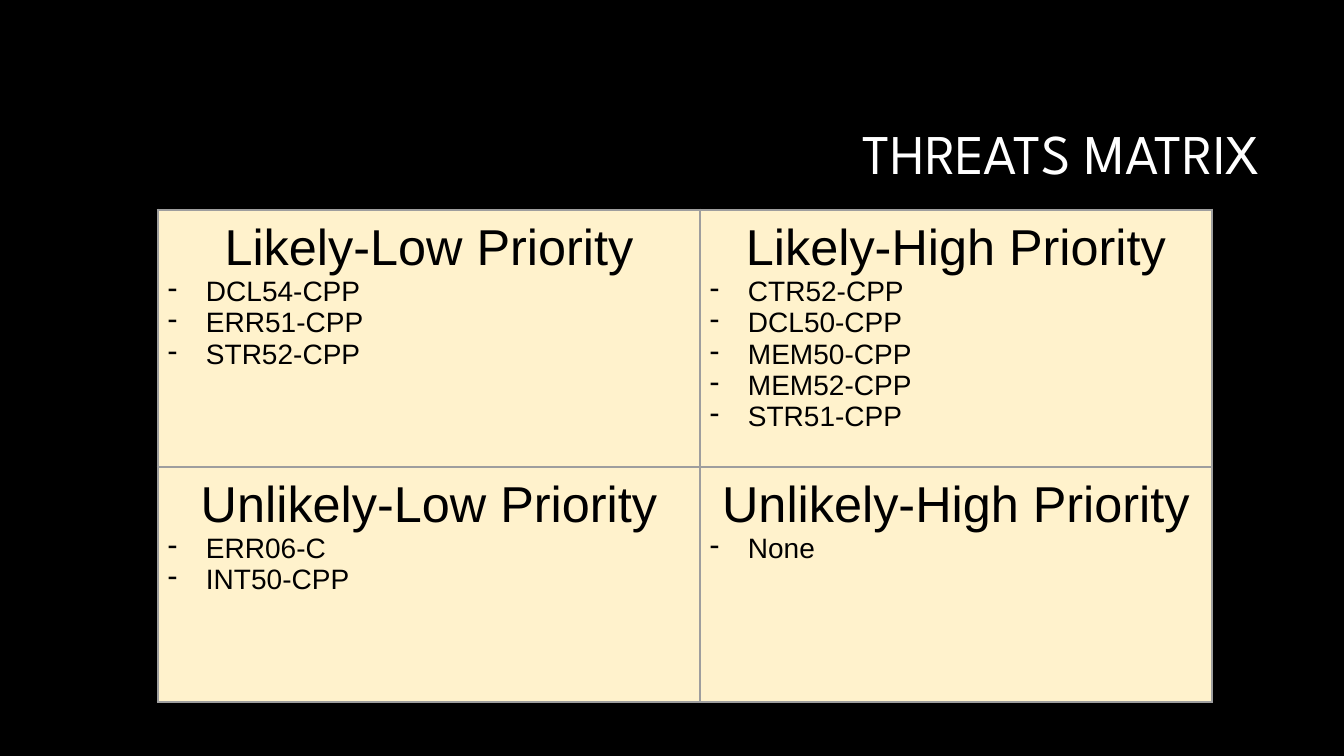
from dataclasses import dataclass

from lxml.etree import SubElement
from pptx import Presentation
from pptx.dml.color import RGBColor
from pptx.enum.text import MSO_ANCHOR, PP_ALIGN
from pptx.oxml.ns import qn
from pptx.util import Emu, Pt

EMU_PER_PX = 914400 / 100.8


@dataclass(frozen=True)
class Theme:
    background: str = "000000"
    title: str = "FFFFFF"
    text: str = "000000"
    cell: str = "FFF2CC"
    border: str = "9E9E9E"
    title_font: str = "League Spartan"
    body_font: str = "Arial"
    title_size: int = 40
    heading_size: int = 36
    item_size: int = 20
    border_width: float = 2.25


THEME = Theme()

# Rows run from likely to unlikely, columns from low to high priority
THREATS = [
    [
        ("Likely-Low Priority", ["DCL54-CPP", "ERR51-CPP", "STR52-CPP"]),
        ("Likely-High Priority",
         ["CTR52-CPP", "DCL50-CPP", "MEM50-CPP", "MEM52-CPP", "STR51-CPP"]),
    ],
    [
        ("Unlikely-Low Priority", ["ERR06-C", "INT50-CPP"]),
        ("Unlikely-High Priority", ["None"]),
    ],
]


def px(length):
    return Emu(round(length * EMU_PER_PX))


def style_runs(paragraph, font_name, size, color):
    for run in paragraph.runs:
        run.font.name = font_name
        run.font.size = Pt(size)
        run.font.color.rgb = RGBColor.from_string(color)


def add_color(parent, color):
    SubElement(parent, qn("a:srgbClr"), val=color)


def add_dash_bullet(paragraph, indent):
    props = paragraph._p.get_or_add_pPr()
    props.set("marL", str(indent))
    props.set("indent", str(-indent))
    add_color(SubElement(props, qn("a:buClr")), THEME.text)
    SubElement(props, qn("a:buChar"), char="-")


def add_borders(cell):
    props = cell._tc.get_or_add_tcPr()
    for side in ("lnL", "lnR", "lnT", "lnB"):
        line = SubElement(props, qn(f"a:{side}"), w=str(Pt(THEME.border_width)))
        add_color(SubElement(line, qn("a:solidFill")), THEME.border)


def add_title(slide, left, top, width, height):
    title = slide.shapes.add_textbox(px(left), px(top), px(width), px(height))
    frame = title.text_frame
    frame.word_wrap = True
    frame.vertical_anchor = MSO_ANCHOR.MIDDLE
    frame.text = "THREATS MATRIX"
    heading = frame.paragraphs[0]
    heading.alignment = PP_ALIGN.RIGHT
    heading.line_spacing = 0.9
    style_runs(heading, THEME.title_font, THEME.title_size, THEME.title)


def fill_quadrant(cell, heading, threats):
    # Cell frame
    add_borders(cell)
    cell.fill.solid()
    cell.fill.fore_color.rgb = RGBColor.from_string(THEME.cell)
    cell.margin_left = cell.margin_right = px(10)
    cell.margin_top = cell.margin_bottom = px(10)

    # Heading and its dashed list
    cell.text_frame.text = "\n".join([heading, *threats])
    title, *items = cell.text_frame.paragraphs
    title.alignment = PP_ALIGN.CENTER
    style_runs(title, THEME.body_font, THEME.heading_size, THEME.text)
    for item in items:
        add_dash_bullet(item, px(38))
        style_runs(item, THEME.body_font, THEME.item_size, THEME.text)


def add_matrix(slide, left, top, column_widths, row_heights):
    matrix = slide.shapes.add_table(
        len(row_heights), len(column_widths), px(left), px(top),
        px(sum(column_widths)), px(sum(row_heights))).table
    matrix.first_row = matrix.horz_banding = False
    for column, width in zip(matrix.columns, column_widths):
        column.width = px(width)
    for row, height, quadrants in zip(matrix.rows, row_heights, THREATS):
        row.height = px(height)
        for cell, (heading, threats) in zip(row.cells, quadrants):
            fill_quadrant(cell, heading, threats)


def main():
    deck = Presentation()
    deck.slide_width, deck.slide_height = px(1344), px(756)
    slide = deck.slides.add_slide(deck.slide_layouts[6])
    slide.background.fill.solid()
    slide.background.fill.fore_color.rgb = RGBColor.from_string(THEME.background)

    add_title(slide, 320, 85, 950, 142)
    add_matrix(slide, 158, 210, [542, 512], [257, 235])
    deck.save("out.pptx")


if __name__ == "__main__":
    main()
